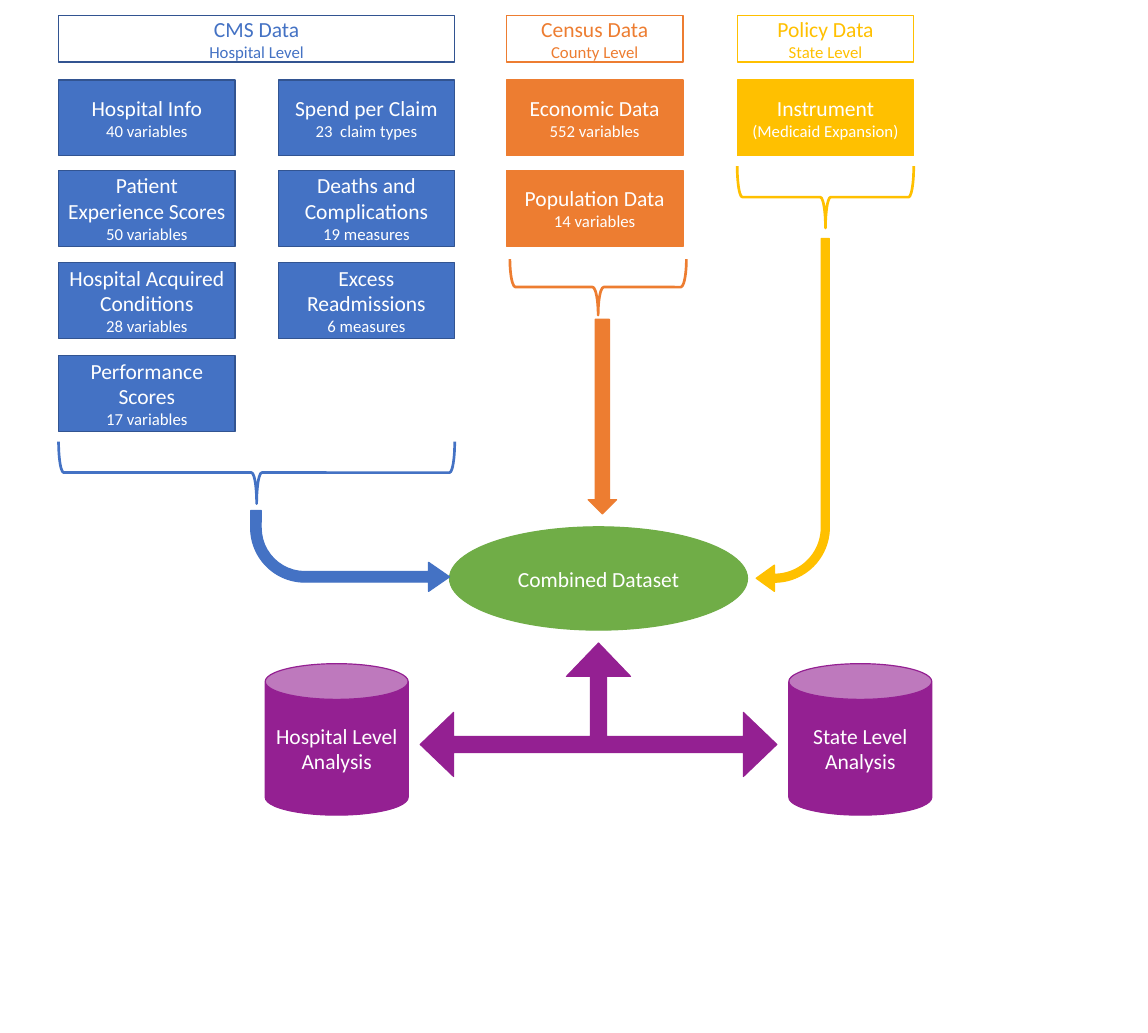
import pptx
import pptx.util
import pptx.dml.color
import pptx.enum.shapes
import pptx.enum.text

KIND = pptx.enum.shapes.MSO_SHAPE

THEME = {
    "font": "Calibri", "label": 18, "detail": 14, "outline": 1, "brace": 2.25,
    "blue": "4472C4", "navy": "325491", "orange": "ED7D31", "gold": "FFC000",
    "green": "70AD47", "purple": "942092", "white": "FFFFFF",
}

# Content: each source has a heading and columns of (label, detail) boxes
SOURCES = [
    {"name": ("CMS Data", "Hospital Level"), "color": "blue", "edge": "navy", "columns": [
        [("Hospital Info", "40 variables"),
         ("Patient Experience Scores", "50 variables"),
         ("Hospital Acquired Conditions", "28 variables"),
         ("Performance Scores", "17 variables")],
        [("Spend per Claim", "23  claim types"),
         ("Deaths and Complications", "19 measures"),
         ("Excess Readmissions", "6 measures")]],
     "lefts": (0.68, 3.23), "brace": (0.68, 5.13, 4.6, 0.72), "bend": 0.083},
    {"name": ("Census Data", "County Level"), "color": "orange", "edge": "orange", "columns": [
        [("Economic Data", "552 variables"), ("Population Data", "14 variables")]],
     "lefts": (5.88,), "brace": (5.92, 3.01, 2.05, 0.65), "bend": 0.1},
    {"name": ("Policy Data", "State Level"), "color": "gold", "edge": "gold", "columns": [
        [("Instrument ", "(Medicaid Expansion)")]],
     "lefts": (8.56,), "brace": (8.56, 1.93, 2.05, 0.72), "bend": 0.083},
]
ANALYSES = [("Hospital Level Analysis", 3.08), ("State Level Analysis", 9.16)]

# Grid, in inches
ROW_TOPS = (0.93, 1.98, 3.05, 4.13)
BOX_WIDTH, BOX_HEIGHT = 2.05, 0.88
HEAD_TOP, HEAD_HEIGHT = 0.18, 0.54

deck = pptx.Presentation()
deck.slide_width = pptx.util.Inches(13.33)
deck.slide_height = pptx.util.Inches(12)
page = deck.slides.add_slide(deck.slide_layouts[6])


def rgb(name):
    return pptx.dml.color.RGBColor.from_string(THEME[name])


def add_part(kind, place, fill, edge, weight="outline", adjust=(), turn=0):
    part = page.shapes.add_shape(kind, *[pptx.util.Inches(v) for v in place])
    part.shadow.inherit = False
    if fill:
        part.fill.solid()
        part.fill.fore_color.rgb = rgb(fill)
    else:
        part.fill.background()
    part.line.color.rgb = rgb(edge)
    part.line.width = pptx.util.Pt(THEME[weight])
    for index, value in enumerate(adjust):
        part.adjustments[index] = value
    part.rotation = turn
    return part


def write(part, color, paragraphs):
    """Each paragraph is a list of (text, size name) runs."""
    frame = part.text_frame
    frame.word_wrap = True
    frame.vertical_anchor = pptx.enum.text.MSO_ANCHOR.MIDDLE
    for index, runs in enumerate(paragraphs):
        para = frame.add_paragraph() if index else frame.paragraphs[0]
        para.alignment = pptx.enum.text.PP_ALIGN.CENTER
        for text, size in runs:
            span = para.add_run()
            span.text = text
            span.font.name = THEME["font"]
            span.font.size = pptx.util.Pt(THEME[size])
            span.font.color.rgb = rgb(color)


def add_box(place, fill, edge, color, label, detail):
    box = add_part(KIND.RECTANGLE, place, fill, edge)
    runs = [(label, "label"), (detail, "detail")]
    # A label ending in a space runs on into its detail
    write(box, color, [runs] if label.endswith(" ") else [[run] for run in runs])


def add_brace(place, color, bend):
    """A right brace turned to open upward over the given area."""
    left, top, width, height = place
    upright = (left + (width - height) / 2, top + (height - width) / 2, height, width)
    add_part(KIND.RIGHT_BRACE, upright, None, color, "brace", (bend, 0.5), 90)


# Data sources: heading, boxes and brace
for source in SOURCES:
    color, edge, lefts = source["color"], source["edge"], source["lefts"]
    span_width = lefts[-1] + BOX_WIDTH - lefts[0]
    add_box((lefts[0], HEAD_TOP, span_width, HEAD_HEIGHT), None, edge, color, *source["name"])
    for left, column in zip(lefts, source["columns"]):
        for top, words in zip(ROW_TOPS, column):
            add_box((left, top, BOX_WIDTH, BOX_HEIGHT), color, edge, "white", *words)
    add_brace(source["brace"], color, source["bend"])

# Combined dataset
dataset = add_part(KIND.OVAL, (5.22, 6.12, 3.46, 1.2), "green", "green")
write(dataset, "white", [[("Combined Dataset", "label")]])

# Arrows from the sources into the dataset
add_part(KIND.DOWN_ARROW, (6.83, 3.71, 0.33, 2.26), "orange", "orange")
add_part(KIND.BENT_ARROW, (8.78, 2.77, 0.85, 4.1), "gold", "gold",
         adjust=(0.11, 0.18, 0.25, 0.75), turn=180)
hospital_arrow = add_part(KIND.BENT_ARROW, (2.91, 5.93, 2.31, 0.94), "blue", "blue",
                          adjust=(0.13, 0.18, 0.26, 0.67), turn=180)
hospital_arrow._element.spPr.xfrm.set("flipH", "1")

# Analyses and the arrow that joins them to the dataset
add_part(KIND.LEFT_RIGHT_UP_ARROW, (4.88, 7.47, 4.14, 1.55), "purple", "purple",
         adjust=(0.12, 0.24, 0.25))
for name, left in ANALYSES:
    can = add_part(KIND.CAN, (left, 7.71, 1.66, 1.76), "purple", "purple")
    write(can, "white", [[(name, "label")]])

deck.save("out.pptx")
